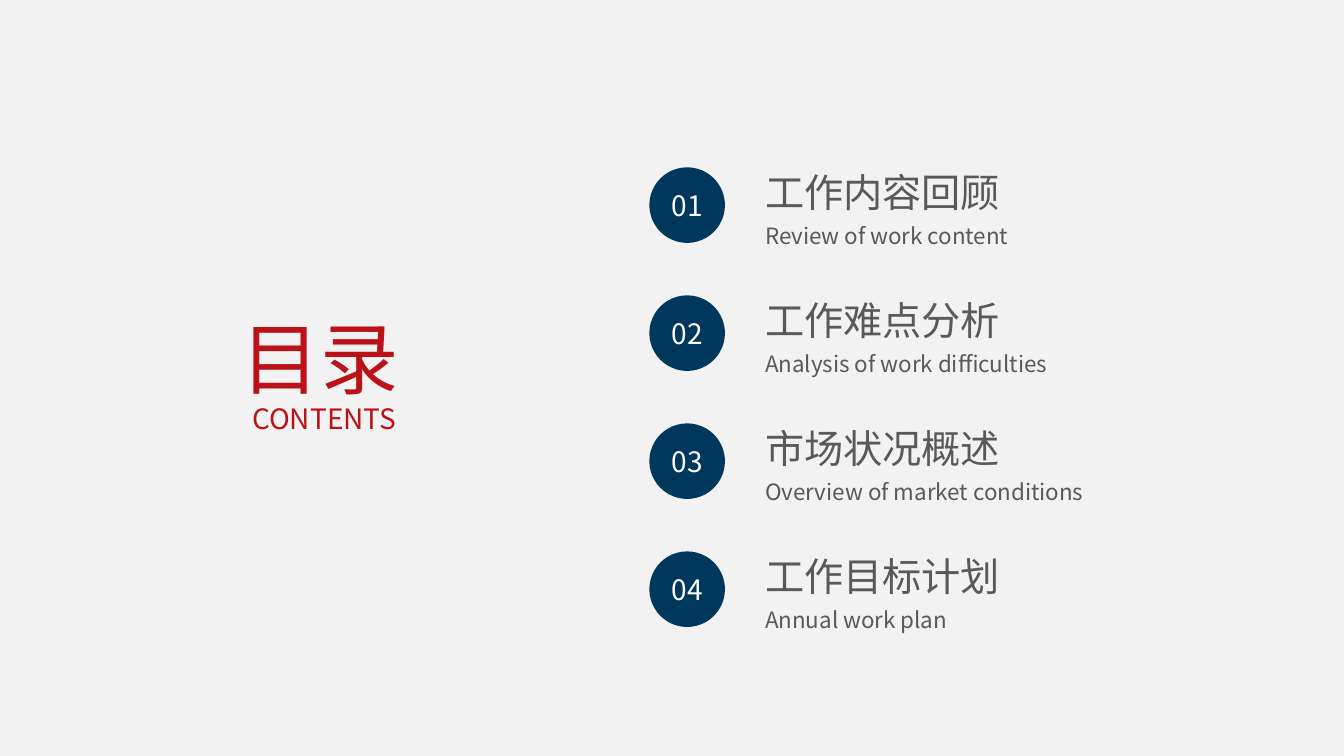
from dataclasses import dataclass

from lxml.etree import SubElement
from pptx import Presentation
from pptx.dml.color import RGBColor
from pptx.enum.shapes import MSO_SHAPE
from pptx.enum.text import MSO_ANCHOR, MSO_AUTO_SIZE, PP_ALIGN
from pptx.oxml.ns import qn
from pptx.util import Emu, Pt

PX = 9144  # EMU per px, 100 px to the inch


@dataclass(frozen=True)
class Theme:
    font: str = "Noto Sans CJK SC"
    back: str = "F2F2F2"
    navy: str = "00375D"
    red: str = "BA1216"
    gray: str = "595959"
    white: str = "FFFFFF"
    title: int = 56
    head: int = 28
    label: int = 20
    note: int = 16


THEME = Theme()

ITEMS = [
    ("工作内容回顾", "Review of work content"),
    ("工作难点分析", "Analysis of work difficulties"),
    ("市场状况概述", "Overview of market conditions"),
    ("工作目标计划", "Annual work plan"),
]
TOP, STEP = 162, 127


def scale(*sizes):
    return [Emu(size * PX) for size in sizes]


def paint(fill, color):
    fill.solid()
    fill.fore_color.rgb = RGBColor.from_string(color)


def write(frame, text, size, color, align):
    frame.text = text
    para = frame.paragraphs[0]
    para.alignment = align
    run = para.runs[0]
    run.font.size = Pt(size)
    run.font.color.rgb = RGBColor.from_string(color)
    run.font.name = THEME.font
    # Chinese glyphs take the East Asian typeface
    SubElement(run.font._element, qn("a:ea")).set("typeface", THEME.font)


def add_label(slide, box, text, size, color, align=PP_ALIGN.LEFT):
    frame = slide.shapes.add_textbox(*scale(*box)).text_frame
    frame.word_wrap = True
    frame.auto_size = MSO_AUTO_SIZE.SHAPE_TO_FIT_TEXT
    write(frame, text, size, color, align)


def add_disc(slide, box, text):
    disc = slide.shapes.add_shape(MSO_SHAPE.OVAL, *scale(*box))
    disc.shadow.inherit = False
    paint(disc.fill, THEME.navy)
    disc.line.fill.background()
    frame = disc.text_frame
    frame.margin_left = frame.margin_right = 0
    frame.margin_top = frame.margin_bottom = 0
    frame.vertical_anchor = MSO_ANCHOR.MIDDLE
    write(frame, text, THEME.label, THEME.white, PP_ALIGN.CENTER)


def add_item(slide, top, number, head, note):
    add_disc(slide, (644, top + 4, 75, 75), f"{number:02}")
    add_label(slide, (749, top, 255, 57), head, THEME.head, THEME.gray)
    add_label(slide, (749, top + 53, 375, 37), note, THEME.note, THEME.gray)


def set_title(slide, box, text):
    title = slide.shapes.title
    title.left, title.top, title.width, title.height = scale(*box)
    frame = title.text_frame
    frame.word_wrap = True
    frame.auto_size = MSO_AUTO_SIZE.SHAPE_TO_FIT_TEXT
    frame.vertical_anchor = MSO_ANCHOR.TOP
    write(frame, text, THEME.title, THEME.red, PP_ALIGN.CENTER)
    frame.paragraphs[0].line_spacing = 1.2


def main():
    deck = Presentation()
    deck.slide_width, deck.slide_height = scale(1333, 750)
    slide = deck.slides.add_slide(deck.slide_layouts[5])
    paint(slide.background.fill, THEME.back)

    # Heading on the left
    set_title(slide, (209, 284, 217, 114), "目录")
    add_label(slide, (217, 393, 209, 44), "CONTENTS",
              THEME.label, THEME.red, PP_ALIGN.CENTER)

    # Numbered chapters on the right
    for index, (head, note) in enumerate(ITEMS):
        add_item(slide, TOP + index * STEP, index + 1, head, note)

    deck.save("out.pptx")


if __name__ == "__main__":
    main()
